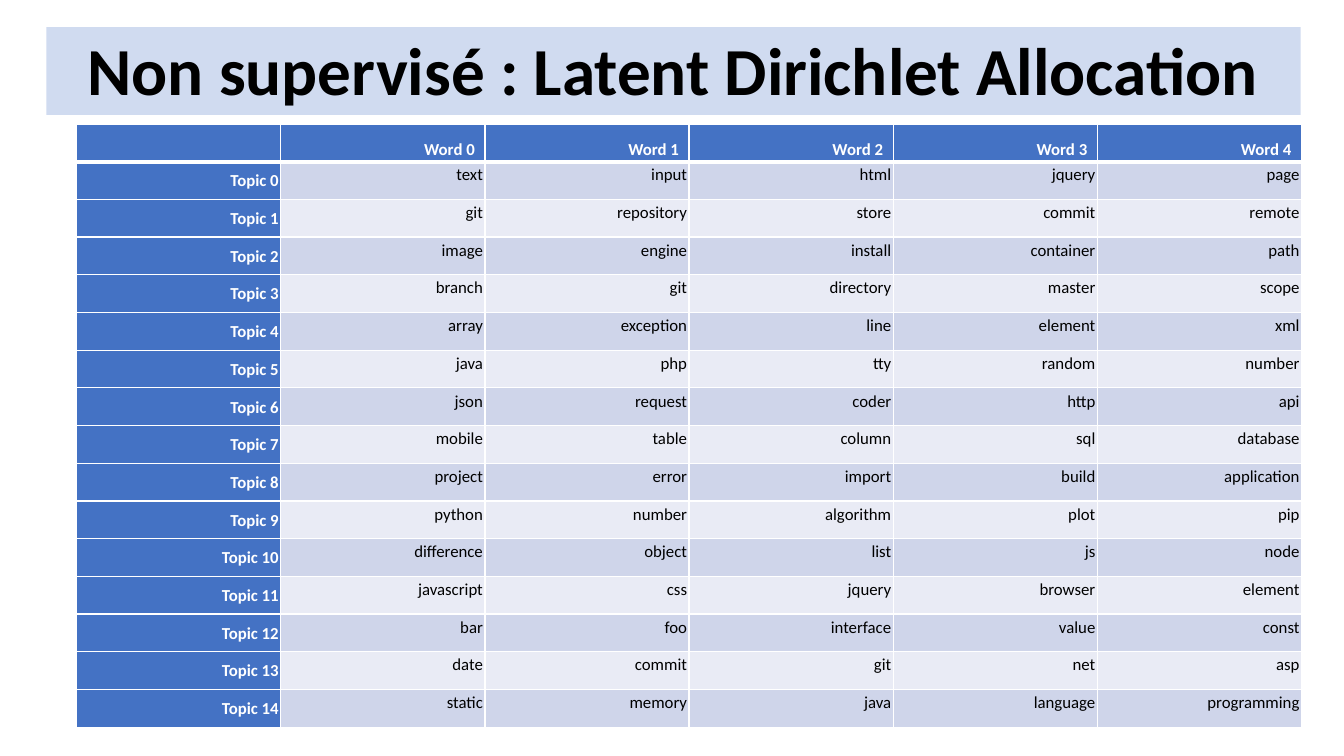
from lxml.etree import SubElement
from pptx import Presentation
from pptx.dml.color import RGBColor
from pptx.enum.shapes import MSO_SHAPE
from pptx.enum.text import MSO_ANCHOR, PP_ALIGN
from pptx.oxml.ns import qn
from pptx.util import Inches, Pt

# Content
TITLE = "Non supervisé : Latent Dirichlet Allocation"
TOPIC_WORDS = [
    ("text", "input", "html", "jquery", "page"),
    ("git", "repository", "store", "commit", "remote"),
    ("image", "engine", "install", "container", "path"),
    ("branch", "git", "directory", "master", "scope"),
    ("array", "exception", "line", "element", "xml"),
    ("java", "php", "tty", "random", "number"),
    ("json", "request", "coder", "http", "api"),
    ("mobile", "table", "column", "sql", "database"),
    ("project", "error", "import", "build", "application"),
    ("python", "number", "algorithm", "plot", "pip"),
    ("difference", "object", "list", "js", "node"),
    ("javascript", "css", "jquery", "browser", "element"),
    ("bar", "foo", "interface", "value", "const"),
    ("date", "commit", "git", "net", "asp"),
    ("static", "memory", "java", "language", "programming"),
]
HEADER = [""] + [f"Word {number}" for number in range(5)]
ROWS = [HEADER] + [[f"Topic {number}", *words] for number, words in enumerate(TOPIC_WORDS)]

# Format values
BLUE, WHITE, BLACK = "4472C4", "FFFFFF", "000000"
BANDS = ("E9EBF5", "CFD5EA")
TITLE_BOX = (0.46, 0.27, 12.44, 0.87)
TABLE_BOX = (0.76, 1.23, 12.15, 5.99)
TITLE_PARA = {"alignment": PP_ALIGN.CENTER, "line_spacing": 0.9}
CELL_PARA = {"alignment": PP_ALIGN.RIGHT, "line_spacing": 1.06,
             "space_before": Pt(12), "space_after": Pt(13.5)}


def colour(value):
    return RGBColor.from_string(value)


def set_all(target, values):
    for name, value in values.items():
        setattr(target, name, value)


def write(frame, text, para_format, size, hue, bold):
    para = frame.paragraphs[0]
    set_all(para, para_format)
    # An empty cell still needs its size, so that its row stays low
    span = para.add_run() if text else para
    span.text = text
    set_all(span.font, {"name": "Calibri", "size": Pt(size), "bold": bold})
    span.font.color.rgb = colour(hue)


def add_borders(cell, widths):
    properties = cell._tc.get_or_add_tcPr()
    for side, width in widths.items():
        line = SubElement(properties, qn(f"a:ln{side}"), w=str(Pt(width)))
        fill = SubElement(line, qn("a:solidFill"))
        SubElement(fill, qn("a:srgbClr"), val=WHITE)


def add_title(page):
    box = page.shapes.add_shape(MSO_SHAPE.RECTANGLE, *map(Inches, TITLE_BOX))
    box.shadow.inherit = False
    box.line.fill.background()
    box.fill.solid()
    box.fill.fore_color.rgb = colour(BLUE)
    tint = box._element.spPr.find(f".//{qn('a:srgbClr')}")
    SubElement(tint, qn("a:alpha"), val="25000")
    set_all(box.text_frame, {"word_wrap": True, "vertical_anchor": MSO_ANCHOR.BOTTOM})
    write(box.text_frame, TITLE, TITLE_PARA, 48, BLACK, True)


def fill_cell(cell, text, row, column):
    is_label = row == 0 or column == 0
    anchor = MSO_ANCHOR.TOP
    if is_label:
        anchor = MSO_ANCHOR.MIDDLE if row else MSO_ANCHOR.BOTTOM
    set_all(cell, {"vertical_anchor": anchor, "margin_left": Inches(0.02),
                   "margin_top": Inches(0.02), "margin_bottom": Inches(0.02),
                   "margin_right": Inches(0.02 if row else 0.1)})
    # The rule under the header is thicker than the rest of the grid
    add_borders(cell, {"L": 1, "R": 1, "T": 3 if row == 1 else 1, "B": 1 if row else 3})
    cell.fill.solid()
    cell.fill.fore_color.rgb = colour(BLUE if is_label else BANDS[row % 2])
    write(cell.text_frame, text, CELL_PARA, 12, WHITE if is_label else BLACK, is_label)


def add_topic_table(page):
    left, top, width, height = map(Inches, TABLE_BOX)
    table = page.shapes.add_table(len(ROWS), len(HEADER), left, top, width, height).table
    table.horz_banding = False
    for row, texts in enumerate(ROWS):
        for column, text in enumerate(texts):
            fill_cell(table.cell(row, column), text, row, column)


def main():
    deck = Presentation()
    set_all(deck, {"slide_width": Inches(13.33), "slide_height": Inches(7.5)})
    page = deck.slides.add_slide(deck.slide_layouts[6])
    add_title(page)
    add_topic_table(page)
    deck.save("out.pptx")


if __name__ == "__main__":
    main()
